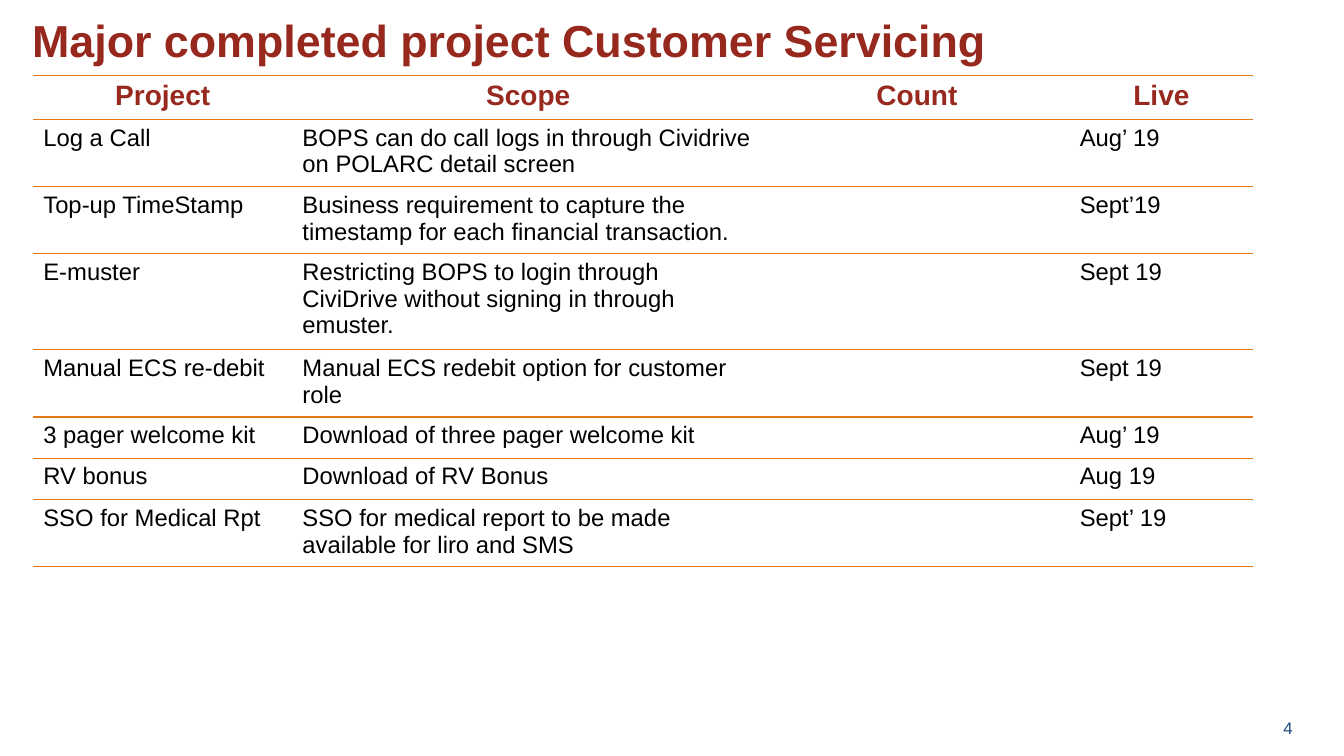
from lxml.etree import SubElement
from pptx import Presentation
from pptx.dml.color import RGBColor
from pptx.enum.text import MSO_ANCHOR, PP_ALIGN
from pptx.oxml import parse_xml
from pptx.oxml.ns import nsdecls, qn
from pptx.util import Inches, Pt

FONT = "Arial"
ROW_HEIGHT = 0.41
COLUMN_WIDTHS = (2.57, 4.68, 3.03, 1.82)
HEADERS = ("Project", "Scope", "Count", "Live")
PROJECTS = (
    ("Log a Call", "BOPS can do call logs in through Cividrive on POLARC detail screen", "", "Aug’ 19"),
    ("Top-up TimeStamp", "Business requirement to capture the timestamp for each financial transaction.", "", "Sept’19"),
    ("E-muster", "Restricting BOPS to login through CiviDrive without signing in through emuster.", "", "Sept 19"),
    ("Manual ECS re-debit", "Manual ECS redebit option for customer role", "", "Sept 19"),
    ("3 pager welcome kit", "Download of three pager welcome kit", "", "Aug’ 19"),
    ("RV bonus", "Download of RV Bonus", "", "Aug 19"),
    ("SSO for Medical Rpt", "SSO for medical report to be made available for liro and SMS", "", "Sept’ 19"),
)


def color(value):
    """Turn a hex string into a colour."""
    return RGBColor.from_string(value)


def style_paragraph(paragraph, size, hex_color, bold=False, align=PP_ALIGN.LEFT):
    """Set the font and alignment of a paragraph."""
    paragraph.alignment = align
    paragraph.font.name = FONT
    paragraph.font.size = Pt(size)
    paragraph.font.bold = bold
    paragraph.font.color.rgb = color(hex_color)


def add_text(slide, box, text, size, hex_color, anchor=MSO_ANCHOR.TOP, **style):
    """Add a wrapped text box and return its paragraph."""
    frame = slide.shapes.add_textbox(*map(Inches, box)).text_frame
    frame.word_wrap = True
    frame.vertical_anchor = anchor
    paragraph = frame.paragraphs[0]
    paragraph.text = text
    style_paragraph(paragraph, size, hex_color, **style)
    return paragraph


def set_borders(cell, hex_color):
    """Rule a cell above and below and leave its sides open."""
    properties = cell._tc.get_or_add_tcPr()
    for position, side in enumerate(("lnL", "lnR", "lnT", "lnB")):
        line = parse_xml(f'<a:{side} {nsdecls("a")} w="{Pt(1)}"/>')
        if side in ("lnT", "lnB"):
            fill = SubElement(line, qn("a:solidFill"))
            SubElement(fill, qn("a:srgbClr"), val=hex_color)
        else:
            SubElement(line, qn("a:noFill"))
        properties.insert(position, line)


def fill_cell(cell, text, **style):
    """Write one table cell on white between orange rules."""
    cell.fill.solid()
    cell.fill.fore_color.rgb = color("FFFFFF")
    set_borders(cell, "E77817")
    paragraph = cell.text_frame.paragraphs[0]
    paragraph.text = text
    style_paragraph(paragraph, **style)


def add_project_table(slide, left, top):
    """Add the table of completed projects."""
    rows = (HEADERS, *PROJECTS)
    size = (sum(COLUMN_WIDTHS), ROW_HEIGHT * len(rows))
    table = slide.shapes.add_table(
        len(rows), len(HEADERS), *map(Inches, (left, top, *size))).table
    table.first_row = False
    table.horz_banding = False
    for column, width in zip(table.columns, COLUMN_WIDTHS):
        column.width = Inches(width)
    header_style = dict(size=20, hex_color="97291E", bold=True, align=PP_ALIGN.CENTER)
    body_style = dict(size=17, hex_color="000000")
    for row_index, row in enumerate(rows):
        style = body_style if row_index else header_style
        for column_index, text in enumerate(row):
            fill_cell(table.cell(row_index, column_index), text, **style)


def main():
    """Build the slide and save it."""
    presentation = Presentation()
    presentation.slide_width = Inches(13.33)
    presentation.slide_height = Inches(7.5)
    slide = presentation.slides.add_slide(presentation.slide_layouts[6])
    title = add_text(slide, (0.22, 0.08, 12.78, 0.82),
                     "Major completed project Customer Servicing", 32, "97281D", bold=True)
    title.space_before = Pt(4.6)
    add_text(slide, (12.25, 7.02, 0.67, 0.4), "4", 12, "1F497D",
             anchor=MSO_ANCHOR.MIDDLE, align=PP_ALIGN.RIGHT)
    add_project_table(slide, 0.33, 0.75)
    presentation.save("out.pptx")


if __name__ == "__main__":
    main()
